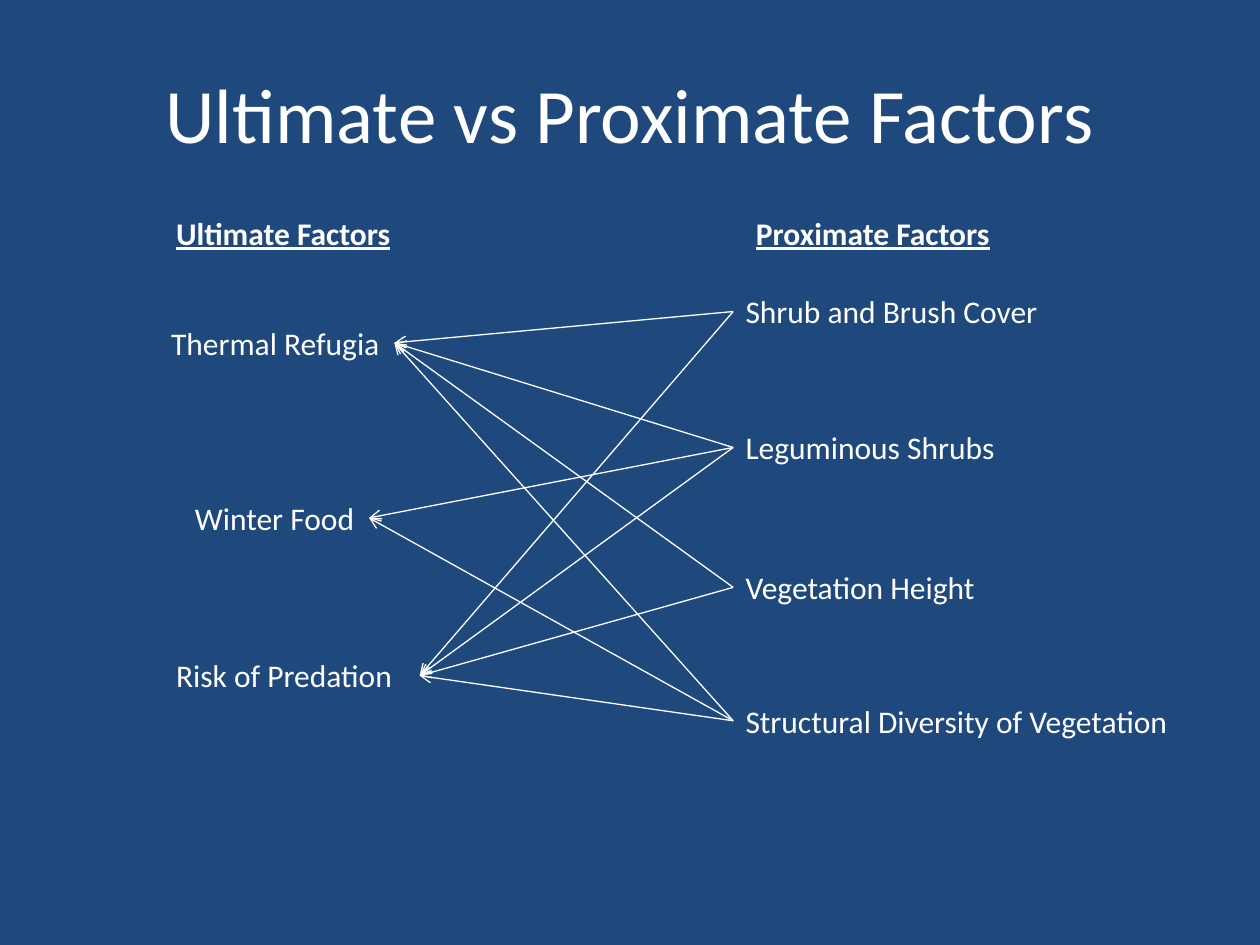
from lxml.etree import SubElement
from pptx import Presentation
from pptx.dml.color import RGBColor
from pptx.enum.shapes import MSO_CONNECTOR as Conn
from pptx.enum.text import MSO_ANCHOR as Anchor, PP_ALIGN as Align
from pptx.oxml.ns import qn
from pptx.util import Cm, Pt

THEME = {
    "font": "Calibri",
    "back": RGBColor(0x1F, 0x49, 0x7D),
    "ink": RGBColor(0xFF, 0xFF, 0xFF),
    "title": 44,
    "body": 18,
    "line": 0.75,
}
ROW_H = 1.02
HEAD_TOP = 4.19
RIGHT_X = 14.78

TITLE = "Ultimate vs Proximate Factors"
HEADINGS = [("Ultimate Factors", 3.3, 4.88), ("Proximate Factors", 14.99, 5.26)]
ULTIMATE = {
    "Thermal Refugia": (3.2, 6.4, 4.75),
    "Winter Food": (3.68, 9.93, 3.76),
    "Risk of Predation": (3.3, 13.11, 5.16),
}
PROXIMATE = {
    "Shrub and Brush Cover": (RIGHT_X, 5.77, 6.48),
    "Leguminous Shrubs": (RIGHT_X, 8.51, 5.59),
    "Vegetation Height": (RIGHT_X, 11.33, 5.18),
    "Structural Diversity of Vegetation": (RIGHT_X, 14.02, 9.12),
}
LINKS = {
    "Shrub and Brush Cover": ["Thermal Refugia", "Risk of Predation"],
    "Leguminous Shrubs": list(ULTIMATE),
    "Vegetation Height": ["Thermal Refugia", "Risk of Predation"],
    "Structural Diversity of Vegetation": list(ULTIMATE),
}


def add_text(s, text, x, y, w, h=ROW_H, *, size=THEME["body"], strong=False,
             align=Align.LEFT, anchor=Anchor.TOP, wrap=False):
    tf = s.shapes.add_textbox(Cm(x), Cm(y), Cm(w), Cm(h)).text_frame
    tf.word_wrap = wrap
    tf.vertical_anchor = anchor
    p = tf.paragraphs[0]
    p.alignment = align
    r = p.add_run()
    r.text = text
    r.font.name = THEME["font"]
    r.font.size = Pt(size)
    r.font.color.rgb = THEME["ink"]
    if strong:
        r.font.bold = r.font.underline = True


def add_arrow(s, x1, y1, x2, y2):
    c = s.shapes.add_connector(Conn.STRAIGHT, Cm(x1), Cm(y1), Cm(x2), Cm(y2))
    c.line.color.rgb = THEME["ink"]
    c.line.width = Pt(THEME["line"])
    SubElement(c.line._get_or_add_ln(), qn("a:tailEnd"), type="arrow")
    SubElement(c._element.spPr, qn("a:effectLst"))


def main():
    prs = Presentation()
    prs.slide_width, prs.slide_height = Cm(25.4), Cm(19.05)
    s = prs.slides.add_slide(prs.slide_layouts[6])
    s.background.fill.solid()
    s.background.fill.fore_color.rgb = THEME["back"]

    add_text(s, TITLE, 1.27, 0.69, 22.86, 3.18, size=THEME["title"],
             align=Align.CENTER, anchor=Anchor.MIDDLE, wrap=True)
    for text, x, w in HEADINGS:
        add_text(s, text, x, HEAD_TOP, w, strong=True)
    for text, (x, y, w) in (ULTIMATE | PROXIMATE).items():
        add_text(s, text, x, y, w)
    for cause, effects in LINKS.items():
        x1, y1, _ = PROXIMATE[cause]
        for effect in effects:
            x2, y2, w = ULTIMATE[effect]
            add_arrow(s, x1, y1 + ROW_H / 2, x2 + w, y2 + ROW_H / 2)

    prs.save("out.pptx")


if __name__ == "__main__":
    main()
